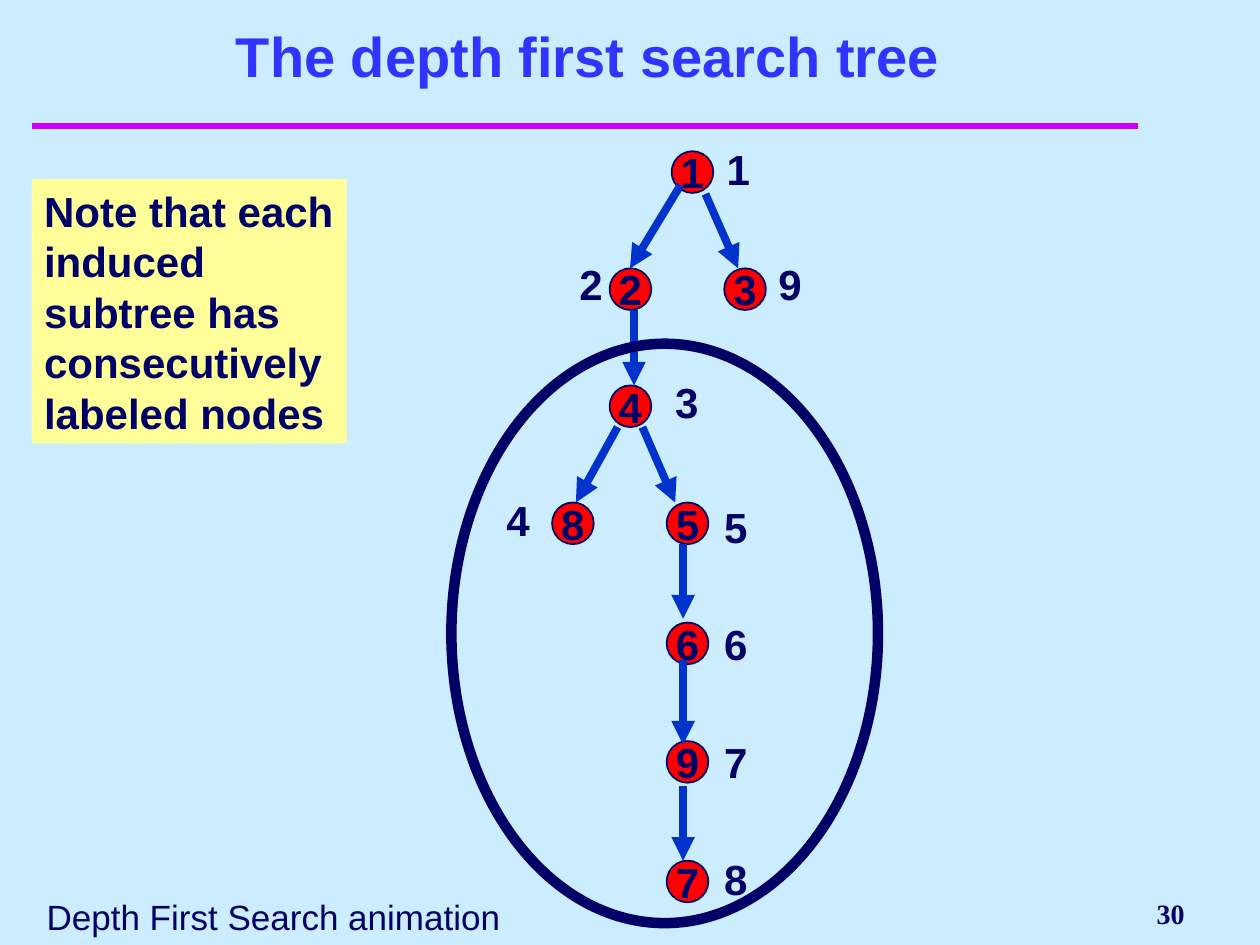
from lxml import etree
from pptx import Presentation
from pptx.dml.color import RGBColor
from pptx.enum import shapes, text
from pptx.oxml.ns import qn
from pptx.util import Cm, Pt

SKY = RGBColor(0xCC, 0xEC, 0xFF)
NAVY = RGBColor(0x00, 0x00, 0x66)
BLUE = RGBColor(0x00, 0x33, 0xCC)
TITLE_BLUE = RGBColor(0x33, 0x33, 0xFF)
RED = RGBColor(0xFF, 0x00, 0x00)
YELLOW = RGBColor(0xFF, 0xFF, 0x99)
MAGENTA = RGBColor(0xCC, 0x00, 0xFF)

NODE_SIZE = 0.84
ROWS = [3.05, 5.41, 7.77, 10.13, 12.55, 14.94, 17.35]

# Node number, left edge, row
NODES = [
    ("1", 13.54, 0), ("2", 12.29, 1), ("3", 14.6, 1), ("4", 12.29, 2),
    ("8", 11.13, 3), ("5", 13.44, 3), ("6", 13.44, 4), ("9", 13.44, 5),
    ("7", 13.44, 6),
]
# Visiting order, left, top
LABELS = [
    ("1", 14.4, 2.77), ("2", 11.43, 5.08), ("9", 15.44, 5.08),
    ("3", 13.36, 7.47), ("4", 9.96, 9.83), ("5", 14.35, 9.98),
    ("6", 14.35, 12.34), ("7", 14.35, 14.71), ("8", 14.35, 17.07),
]
# Start x, start y, end x, end y
EDGES = [
    (14.22, 3.91, 14.88, 5.41), (13.72, 3.73, 12.7, 5.41),
    (12.78, 6.25, 12.78, 7.77), (12.95, 8.61, 13.61, 10.13),
    (12.45, 8.61, 11.61, 10.13), (13.77, 10.97, 13.77, 12.47),
    (13.77, 13.31, 13.77, 15.01), (13.77, 15.85, 13.77, 17.35),
]


def write(box, words, size=24, color=NAVY, bold=True, font="Arial",
          align=text.PP_ALIGN.LEFT, anchor=text.MSO_ANCHOR.TOP, wrap=True):
    frame = box.text_frame
    frame.text = words
    frame.word_wrap = wrap
    frame.auto_size = text.MSO_AUTO_SIZE.NONE
    frame.vertical_anchor = anchor
    frame.margin_left = frame.margin_right = Cm(0.25)
    frame.margin_top = frame.margin_bottom = Cm(0.13)
    para = frame.paragraphs[0]
    para.alignment = align
    span = para.runs[0].font
    span.name, span.size, span.bold = font, Pt(size), bold
    span.color.rgb = color


def draw_line(x1, y1, x2, y2, color, width):
    line = page.shapes.add_connector(
        shapes.MSO_CONNECTOR.STRAIGHT, Cm(x1), Cm(y1), Cm(x2), Cm(y2))
    line.line.color.rgb = color
    line.line.width = Pt(width)
    etree.SubElement(line._element.spPr, qn("a:effectLst"))
    return line


deck = Presentation()
deck.slide_width, deck.slide_height = Cm(25.4), Cm(19.05)
page = deck.slides.add_slide(deck.slide_layouts[5])
page.background.fill.solid()
page.background.fill.fore_color.rgb = SKY

# Title and rule
title = page.shapes.title
title.left, title.top, title.width, title.height = Cm(1.06), Cm(0.43), Cm(21.59), Cm(1.48)
write(title, "The depth first search tree", 32, TITLE_BLUE,
      align=text.PP_ALIGN.CENTER, anchor=text.MSO_ANCHOR.BOTTOM)
draw_line(0.64, 2.54, 22.94, 2.54, MAGENTA, 4)

# Footer and page number
footer = page.shapes.add_textbox(Cm(0.69), Cm(17.93), Cm(9.65), Cm(1.12))
write(footer, "Depth First Search animation", 20, bold=False, wrap=False)
number = page.shapes.add_textbox(Cm(19.25), Cm(17.78), Cm(4.88), Cm(1.27))
write(number, "30", 16, font="Times New Roman",
      align=text.PP_ALIGN.RIGHT, anchor=text.MSO_ANCHOR.MIDDLE)

# Visiting order beside the nodes
for order, left, top in LABELS:
    label = page.shapes.add_textbox(Cm(left), Cm(top), Cm(0.67), Cm(1.27))
    label.fill.solid()
    label.fill.fore_color.rgb = SKY
    write(label, order)

# Tree nodes
for name, left, row in NODES:
    node = page.shapes.add_shape(shapes.MSO_SHAPE.OVAL, Cm(left), Cm(ROWS[row]),
                                 Cm(NODE_SIZE), Cm(NODE_SIZE))
    node.shadow.inherit = False
    node.fill.solid()
    node.fill.fore_color.rgb = RED
    node.line.color.rgb = NAVY
    node.line.width = Pt(1)
    write(node, name, align=text.PP_ALIGN.CENTER,
          anchor=text.MSO_ANCHOR.MIDDLE, wrap=False)

# Tree edges
for ends in EDGES:
    edge = draw_line(*ends, BLUE, 4.5)
    etree.SubElement(edge.line._get_or_add_ln(), qn("a:tailEnd"), type="triangle")

# Note
note = page.shapes.add_textbox(Cm(0.64), Cm(3.61), Cm(6.35), Cm(5.33))
note.fill.solid()
note.fill.fore_color.rgb = YELLOW
write(note, "Note that each induced subtree has consecutively labeled nodes")

# Ring around the subtree
ring = page.shapes.add_shape(shapes.MSO_SHAPE.OVAL, Cm(9.1), Cm(6.93), Cm(8.6), Cm(11.68))
ring.shadow.inherit = False
ring.fill.background()
ring.line.color.rgb = NAVY
ring.line.width = Pt(6)

deck.save("out.pptx")
